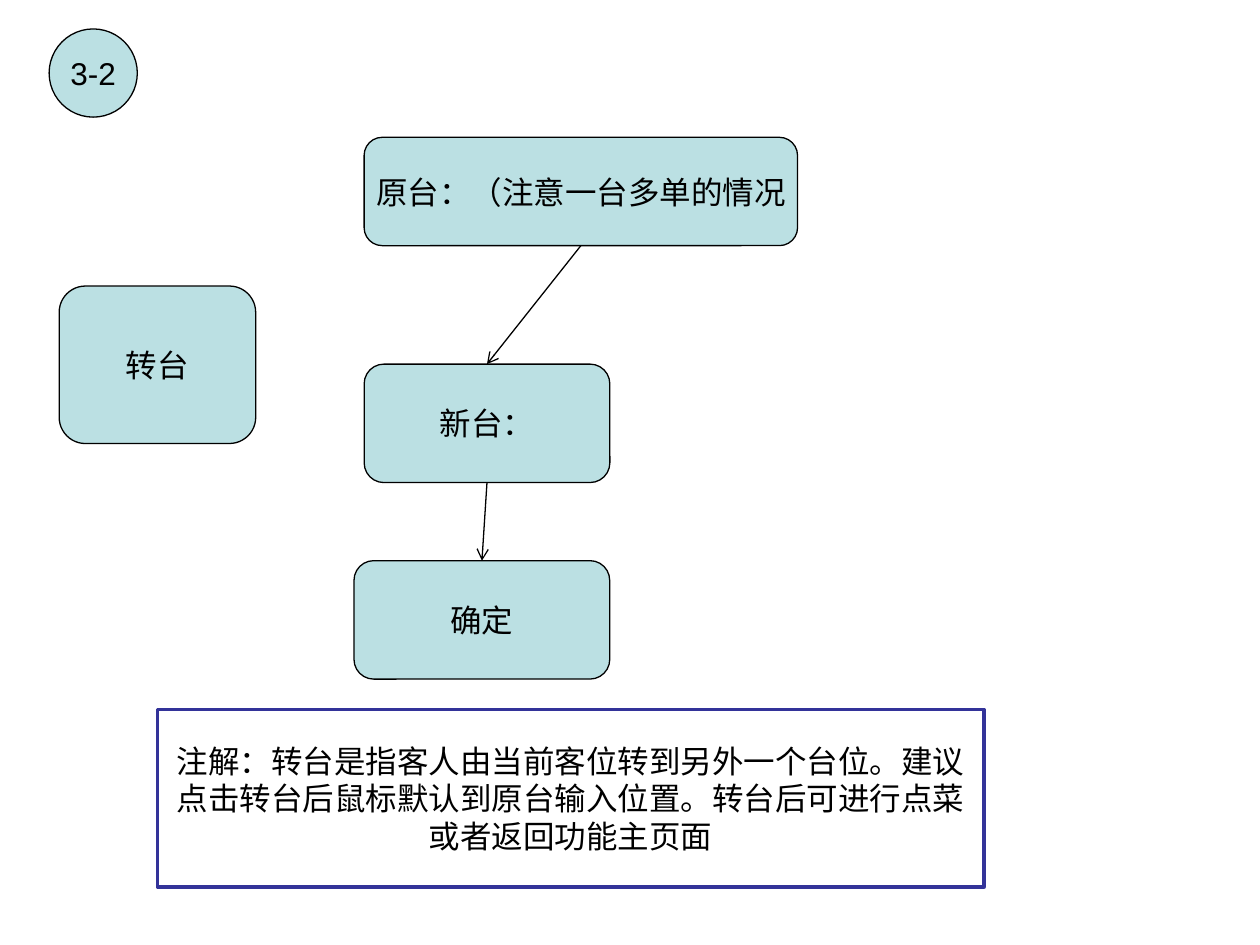
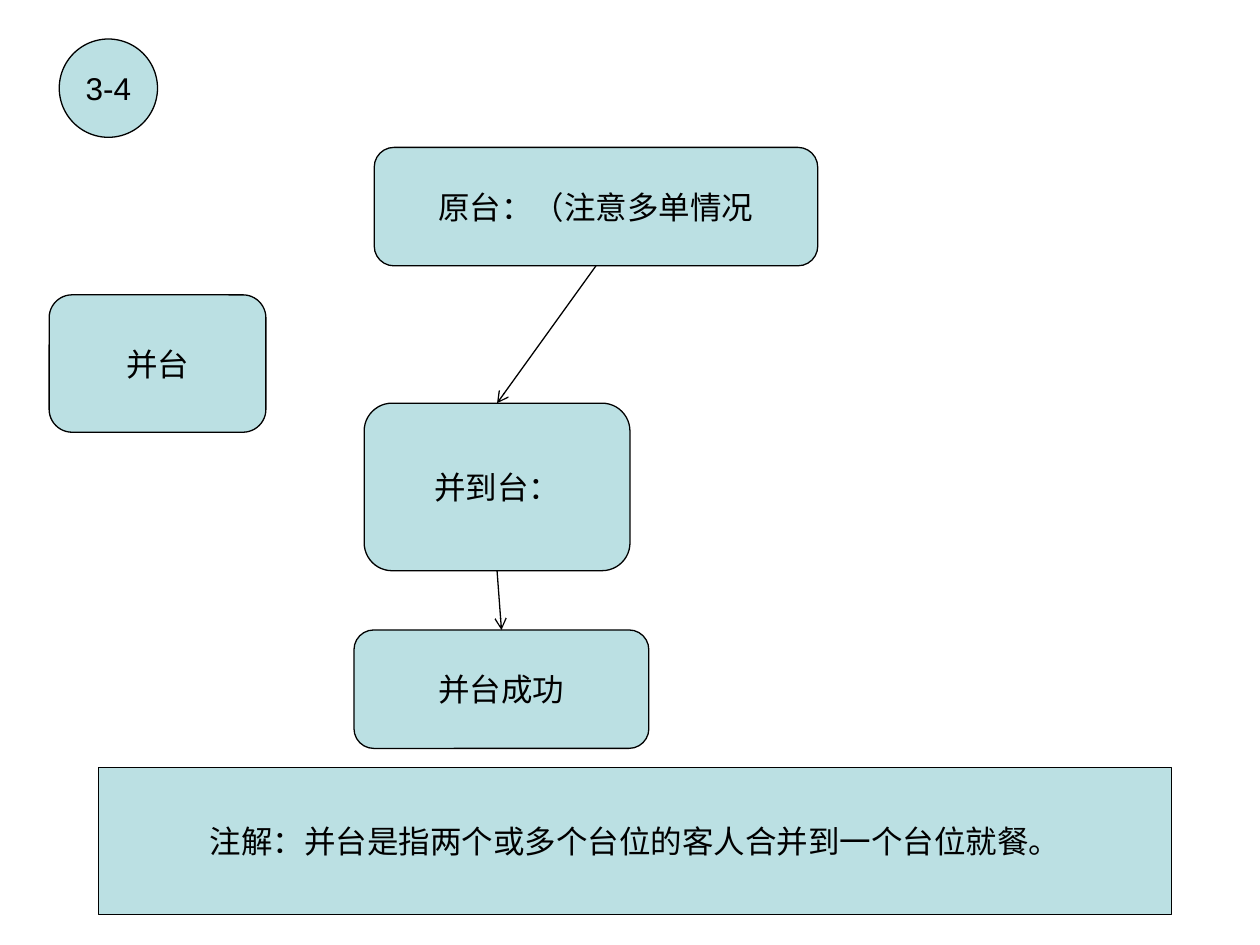
from itertools import pairwise

from lxml import etree
from pptx import Presentation
from pptx.dml.color import RGBColor
from pptx.enum.shapes import MSO_CONNECTOR, MSO_SHAPE
from pptx.enum.text import MSO_ANCHOR, PP_ALIGN
from pptx.oxml.ns import qn
from pptx.util import Inches, Pt

ELLIPSE = MSO_SHAPE.OVAL
ROUNDED = MSO_SHAPE.ROUNDED_RECTANGLE
RECTANGLE = MSO_SHAPE.RECTANGLE
STRAIGHT = MSO_CONNECTOR.STRAIGHT
MIDDLE = MSO_ANCHOR.MIDDLE
CENTER = PP_ALIGN.CENTER
TOP_SITE, BOTTOM_SITE = 0, 2

BLACK, WHITE, PALE_TEAL, NAVY = "000000", "FFFFFF", "BBE0E3", "333399"


def color(hex_string):
    return RGBColor.from_string(hex_string)


class FlowSlide:
    """One slide of the flow chart, with the style of its elements."""

    font_name = "Arial"
    font_size = Pt(18)
    line_width = 0.75

    def __init__(self, presentation):
        self.slide = presentation.slides.add_slide(presentation.slide_layouts[6])

    def shape(self, kind, text, bounds, fill=PALE_TEAL, line=BLACK, line_width=line_width):
        shape = self.slide.shapes.add_shape(kind, *map(Inches, bounds))
        shape.shadow.inherit = False
        shape.fill.solid()
        shape.fill.fore_color.rgb = color(fill)
        shape.line.color.rgb = color(line)
        shape.line.width = Pt(line_width)
        text_frame = shape.text_frame
        text_frame.text = text
        text_frame.word_wrap = False
        text_frame.vertical_anchor = MIDDLE
        for paragraph in text_frame.paragraphs:
            paragraph.alignment = CENTER
            for run in paragraph.runs:
                run.font.name = self.font_name
                run.font.size = self.font_size
                run.font.color.rgb = color(BLACK)
        return shape

    def badge(self, text, left, top, diameter):
        self.shape(ELLIPSE, text, (left, top, diameter, diameter))

    def box(self, text, *bounds):
        return self.shape(ROUNDED, text, bounds)

    def note(self, text, *bounds, **style):
        self.shape(RECTANGLE, text, bounds, **style)

    def arrow(self, upper, lower):
        connector = self.slide.shapes.add_connector(STRAIGHT, 0, 0, 0, 0)
        connector.begin_connect(upper, BOTTOM_SITE)
        connector.end_connect(lower, TOP_SITE)
        connector.line.color.rgb = color(BLACK)
        connector.line.width = Pt(self.line_width)
        line = connector.line._get_or_add_ln()
        etree.SubElement(line, qn("a:tailEnd"), type="arrow")
        etree.SubElement(connector._element.spPr, qn("a:effectLst"))

    def flow(self, *steps):
        """Draw the steps as boxes and join each to the next."""
        boxes = [self.box(*step) for step in steps]
        for upper, lower in pairwise(boxes):
            self.arrow(upper, lower)


def add_change_table_slide(presentation):
    slide = FlowSlide(presentation)
    slide.badge("3-2", 0.39, 0.23, 0.7)
    slide.box("转台", 0.47, 2.27, 1.56, 1.25)
    slide.flow(
        ("原台：（注意一台多单的情况", 2.89, 1.09, 3.44, 0.86),
        ("新台：", 2.89, 2.89, 1.95, 0.94),
        ("确定", 2.81, 4.45, 2.03, 0.94),
    )
    slide.note(
        "注解：转台是指客人由当前客位转到另外一个台位。建议\n"
        "点击转台后鼠标默认到原台输入位置。转台后可进行点菜\n"
        "或者返回功能主页面",
        1.25, 5.63, 6.56, 1.41, fill=WHITE, line=NAVY, line_width=2,
    )


def add_merge_tables_slide(presentation):
    slide = FlowSlide(presentation)
    slide.badge("3-4", 0.47, 0.31, 0.78)
    slide.box("并台", 0.39, 2.34, 1.72, 1.09)
    slide.flow(
        ("原台：（注意多单情况", 2.97, 1.17, 3.52, 0.94),
        ("并到台：", 2.89, 3.2, 2.11, 1.33),
        ("并台成功", 2.81, 5, 2.34, 0.94),
    )
    slide.note("注解：并台是指两个或多个台位的客人合并到一个台位就餐。", 0.78, 6.09, 8.52, 1.17)


def main():
    presentation = Presentation()
    presentation.slide_width = Inches(10)
    presentation.slide_height = Inches(7.5)
    add_change_table_slide(presentation)
    add_merge_tables_slide(presentation)
    presentation.save("out.pptx")


if __name__ == "__main__":
    main()
